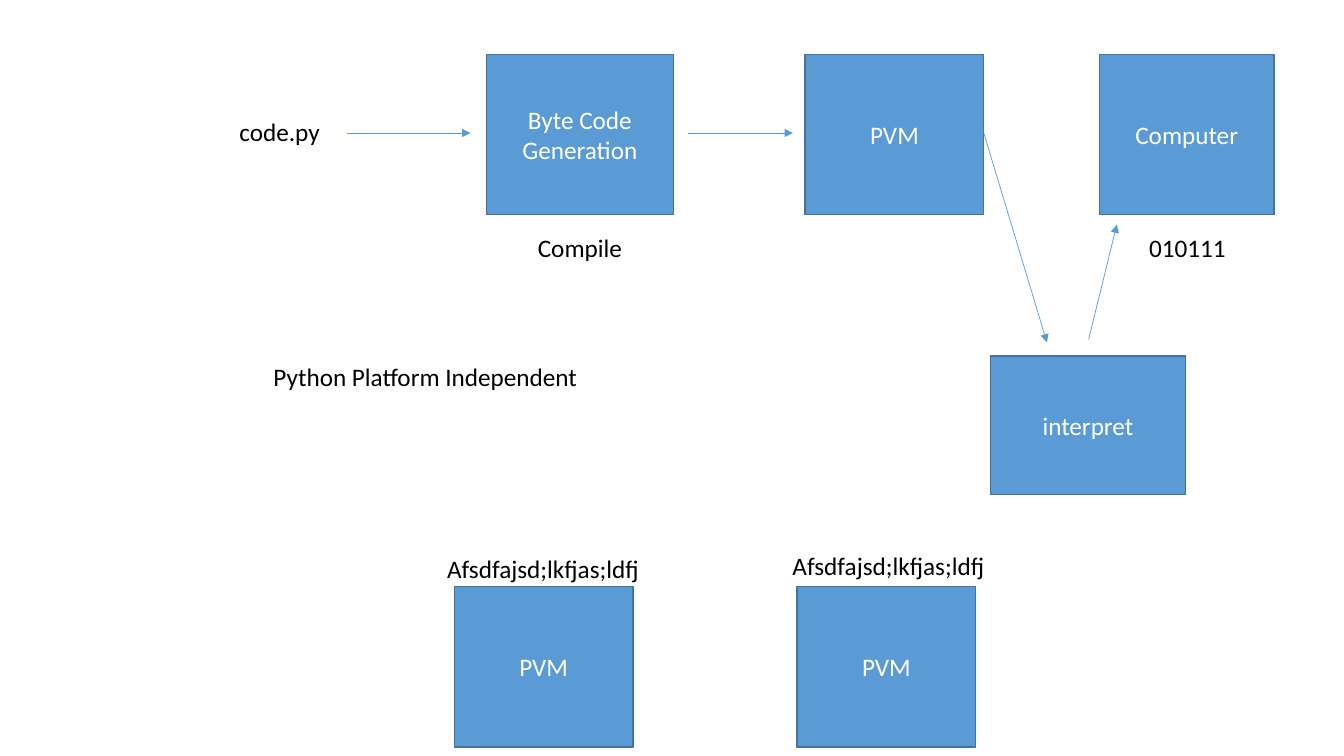
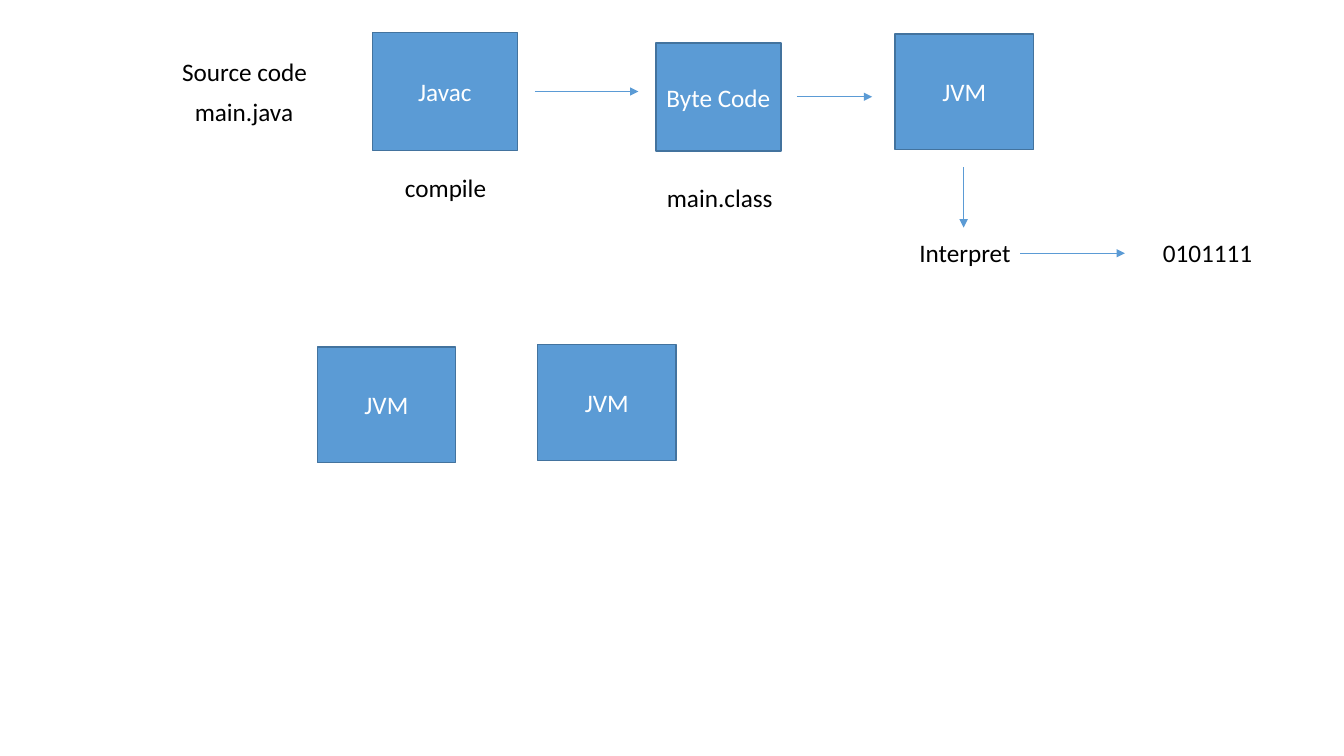
from pptx import Presentation
from pptx.dml.color import RGBColor
from pptx.enum.shapes import MSO_CONNECTOR, MSO_SHAPE
from pptx.enum.text import MSO_ANCHOR, PP_ALIGN
from pptx.oxml.ns import qn
from pptx.util import Inches, Pt
from lxml import etree

RECT, STRAIGHT = MSO_SHAPE.RECTANGLE, MSO_CONNECTOR.STRAIGHT
CENTER, MIDDLE, TOP = PP_ALIGN.CENTER, MSO_ANCHOR.MIDDLE, MSO_ANCHOR.TOP
BLUE = RGBColor(0x5B, 0x9B, 0xD5)
BORDER = RGBColor(0x43, 0x73, 0x9E)
WHITE = RGBColor(0xFF, 0xFF, 0xFF)
BLACK = RGBColor(0x00, 0x00, 0x00)
FONT, SIZE = "Calibri", Pt(18)
LABEL_H = 5.3

prs = Presentation()
prs.slide_width, prs.slide_height = Inches(13.33), Inches(7.5)


def place(x, y):
    """Turn percentages of the slide's width and height into lengths."""
    return round(prs.slide_width * x / 100), round(prs.slide_height * y / 100)


def write(sp, text, color=BLACK, anchor=TOP, wrap=False):
    tf = sp.text_frame
    tf.word_wrap, tf.vertical_anchor = wrap, anchor
    p = tf.paragraphs[0]
    p.alignment = CENTER
    r = p.add_run()
    r.text = text
    r.font.name, r.font.size, r.font.color.rgb = FONT, SIZE, color


# Rows and box sizes that repeat, in percent of the slide
STAGE_Y, STAGE_H, PVM_W, PVM_Y = 7.2, 21.2, 13.3, 77.6
CAPTION_Y, FLOW_Y = 30.1, 17.6
JVM_W, JVM_H, RESULT_Y, RESULT_MID = 10.3, 15.3, 30.8, 33.5

# boxes: text, left, top, width, height
# labels: text, left, top, width
# arrows: start x, start y, end x, end y
python_flow = {
    "boxes": [
        ("Byte Code Generation", 36.2, STAGE_Y, 13.9, STAGE_H),
        ("PVM", 59.9, STAGE_Y, PVM_W, STAGE_H),
        ("Computer", 81.8, STAGE_Y, 13, STAGE_H),
        ("interpret", 73.7, 47.1, 14.5, 18.3),
        ("PVM", 33.8, PVM_Y, PVM_W, STAGE_H),
        ("PVM", 59.3, PVM_Y, PVM_W, STAGE_H),
    ],
    "labels": [
        ("code.py", 17, 14.7, 7.6),
        ("Compile", 39.2, CAPTION_Y, 7.9),
        ("010111", 84.7, CAPTION_Y, 7.3),
        ("Python Platform Independent", 19.4, 47.1, 24.5),
        ("Afsdfajsd;lkfjas;ldfj", 32.4, 72.5, 16),
        ("Afsdfajsd;lkfjas;ldfj", 58.1, 72.1, 16),
    ],
    "arrows": [
        (25.8, FLOW_Y, 35, FLOW_Y),
        (51.2, FLOW_Y, 59, FLOW_Y),
        (73.2, FLOW_Y, 77.9, 45.3),
        (81, 44.9, 83.1, 29.7),
    ],
}
java_flow = {
    "boxes": [
        ("Javac", 27.7, 4.3, 10.8, 15.6),
        ("Byte Code", 48.8, 5.7, 9.3, 14.3),
        ("JVM", 66.6, 4.5, JVM_W, JVM_H),
        ("JVM", 23.6, 45.9, JVM_W, JVM_H),
        ("JVM", 40, 45.6, JVM_W, JVM_H),
    ],
    "labels": [
        ("Source code", 12.7, 6.8, 11),
        ("main.java", 13.7, 12.1, 8.9),
        ("compile", 29.3, 22.1, 7.7),
        ("main.class", 48.8, 23.5, 9.5),
        ("Interpret", 67.6, RESULT_Y, 8.4),
        ("0101111", 85.7, RESULT_Y, 8.3),
    ],
    "arrows": [
        (39.8, 12.1, 47.5, 12.1),
        (59.3, 12.8, 64.9, 12.8),
        (71.7, 22.1, 71.7, 30.1),
        (75.9, RESULT_MID, 83.7, RESULT_MID),
    ],
}

for flow in (python_flow, java_flow):
    s = prs.slides.add_slide(prs.slide_layouts[6])

    # Blue boxes
    for text, x, y, w, h in flow["boxes"]:
        sp = s.shapes.add_shape(RECT, *place(x, y), *place(w, h))
        sp.shadow.inherit = False
        sp.fill.solid()
        sp.fill.fore_color.rgb = BLUE
        sp.line.color.rgb, sp.line.width = BORDER, Pt(1)
        write(sp, text, color=WHITE, anchor=MIDDLE, wrap=True)

    # Plain labels
    for text, x, y, w in flow["labels"]:
        write(s.shapes.add_textbox(*place(x, y), *place(w, LABEL_H)), text)

    # Arrows
    for x1, y1, x2, y2 in flow["arrows"]:
        line = s.shapes.add_connector(STRAIGHT, *place(x1, y1), *place(x2, y2))
        line.line.color.rgb, line.line.width = BLUE, Pt(0.5)
        etree.SubElement(line.line._get_or_add_ln(), qn("a:tailEnd"), type="triangle")
        etree.SubElement(line._element.spPr, qn("a:effectLst"))

prs.save("out.pptx")
